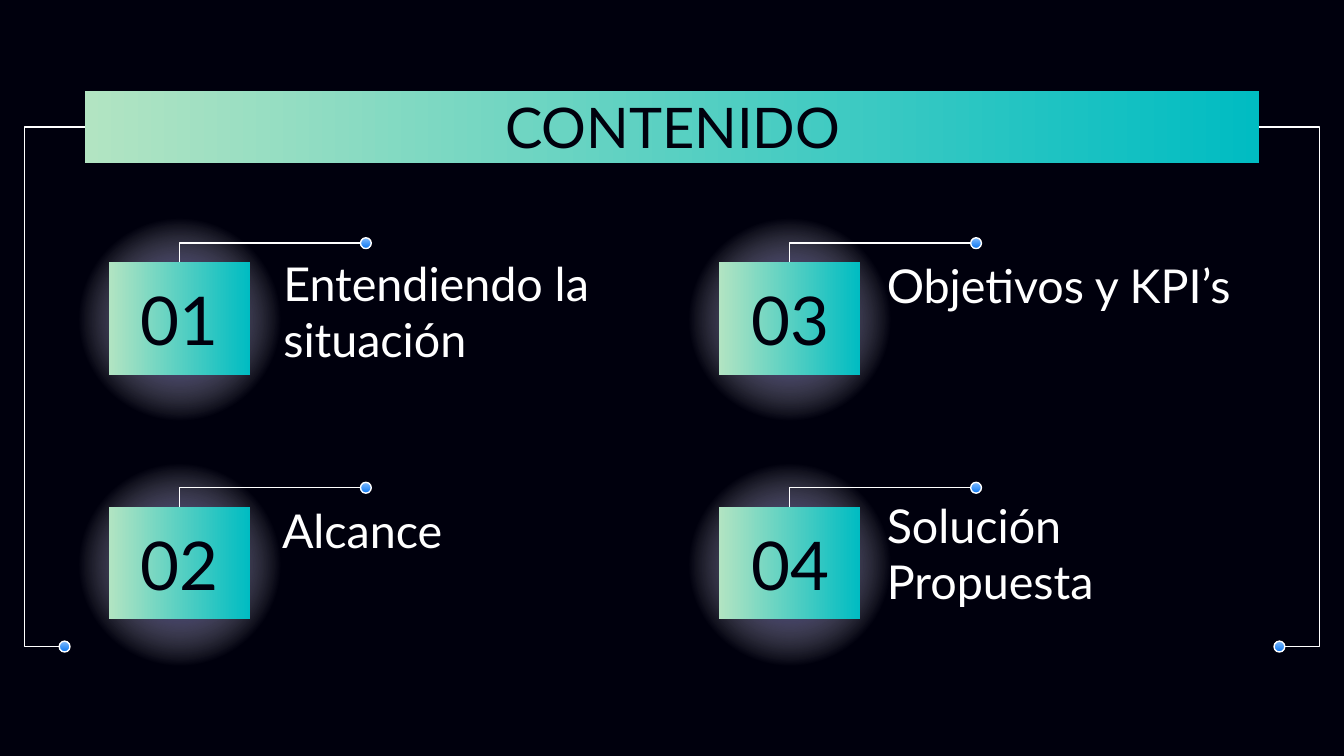
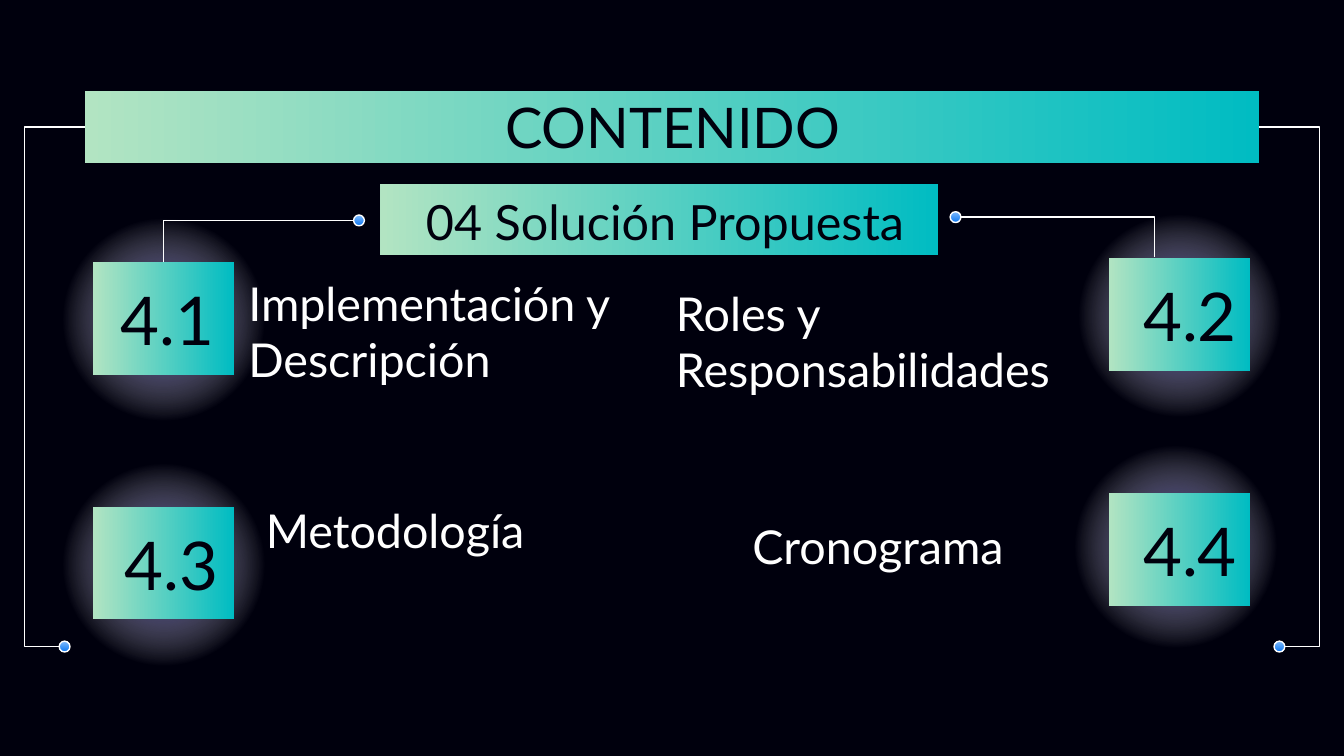
from dataclasses import dataclass

from pptx import Presentation
from pptx.dml.color import RGBColor
from pptx.enum.shapes import MSO_CONNECTOR as CONN, MSO_SHAPE as SHAPE
from pptx.enum.text import MSO_ANCHOR as ANCHOR, MSO_AUTO_SIZE as AUTO, PP_ALIGN as ALIGN
from pptx.oxml import parse_xml
from pptx.oxml.ns import nsdecls, qn
from pptx.util import Pt

COLORS = {
    "night": "00000D", "white": "FFFFFF", "teal": "00BCC2", "mint": "B2E4C2",
    "glow": "170F8D", "sky": "82BCFE", "blue": "0C77F1",
}
FONT = "Lato"
SLIDE_W, SLIDE_H = 720, 405
BAND = (45.4, 49, 629.2, 38.2)
TITLE = (56.9, 42.5, 607, 45.4)
SUB_BAND = (203.8, 98.6, 298.8, 38.2)
SUB_TITLE = (203.8, 95.8, 305.3, 45.4)
TILE_W, TILE_H = 75.6, 60.5
GLOW_W, GLOW_H = 127.4, 123.1
DOT = 5.8
RAIL_X, RAIL_DOT_X, RAIL_DOT_Y = 13, 31.7, 343.5


@dataclass
class Item:
    number: str
    text: str
    x: float
    y: float
    label: tuple
    label_h: float = 41.8
    number_w: float = 63.4
    glow: tuple = (-26, -30.6)


def rgb(name):
    return RGBColor.from_string(COLORS[name])


def pts(*values):
    return [Pt(v) for v in values]


def gradient_shape(slide, kind, box, first, last, angle):
    sp = slide.shapes.add_shape(kind, *pts(*box))
    sp.shadow.inherit = False
    sp.line.fill.background()
    sp.fill.gradient()
    sp.fill.gradient_angle = angle
    for stop, name in zip(sp.fill.gradient_stops, (first, last)):
        stop.color.rgb = rgb(name)
    return sp


def add_tile(slide, box):
    return gradient_shape(slide, SHAPE.RECTANGLE, box, "teal", "mint", 180)


def add_dot(slide, x, y):
    sp = gradient_shape(slide, SHAPE.OVAL, (x, y, DOT, DOT), "sky", "blue", 270)
    sp.line.color.rgb = rgb("white")
    sp.line.width = Pt(0.75)


def add_glow(slide, x, y):
    sp = gradient_shape(slide, SHAPE.OVAL, (x, y, GLOW_W, GLOW_H), "glow", "white", 0)
    clear = f'<a:srgbClr val="{COLORS["white"]}"><a:alpha val="0"/></a:srgbClr>'
    radial = parse_xml(
        f'<a:gradFill {nsdecls("a")} rotWithShape="1"><a:gsLst>'
        f'<a:gs pos="0"><a:srgbClr val="{COLORS["glow"]}"/></a:gs>'
        f'<a:gs pos="61000">{clear}</a:gs><a:gs pos="100000">{clear}</a:gs></a:gsLst>'
        '<a:path path="circle"><a:fillToRect l="50000" t="50000" r="50000" b="50000"/>'
        '</a:path></a:gradFill>'
    )
    props = sp._element.spPr
    props.replace(props.find(qn("a:gradFill")), radial)


def add_elbow(slide, start, end, preset, adjust=None):
    cn = slide.shapes.add_connector(CONN.ELBOW, *pts(*start, *end))
    cn.line.color.rgb = rgb("white")
    cn.line.width = Pt(0.75)
    props = cn._element.spPr
    props.append(parse_xml(f'<a:effectLst {nsdecls("a")}/>'))
    geom = props.find(qn("a:prstGeom"))
    geom.set("prst", preset)
    if adjust is not None:
        guides = geom.get_or_add_avLst()
        guides.append(parse_xml(
            f'<a:gd {nsdecls("a")} name="adj1" fmla="val {round(adjust * 100000)}"/>'))


def write(sp, text, size, color, align=ALIGN.LEFT, anchor=ANCHOR.MIDDLE):
    tf = sp.text_frame
    tf.text = text
    tf.word_wrap = True
    tf.auto_size = AUTO.NONE
    tf.vertical_anchor = anchor
    tf.margin_left = tf.margin_right = tf.margin_top = tf.margin_bottom = Pt(7.2)
    for p in tf.paragraphs:
        p.alignment = align
        for r in p.runs:
            r.font.name = FONT
            r.font.size = Pt(size)
            r.font.color.rgb = rgb(color)


def add_text(slide, box, *args, **kwargs):
    write(slide.shapes.add_textbox(*pts(*box)), *args, **kwargs)


def add_callout(slide, dot, start_dx, end):
    x, y = dot
    add_elbow(slide, (x + start_dx, y + DOT / 2), end, "bentConnector2")
    add_dot(slide, x, y)


def add_item(slide, item):
    x, y = item.x, item.y
    add_glow(slide, x + item.glow[0], y + item.glow[1])
    add_tile(slide, (x, y, TILE_W, TILE_H))
    dx, dy, width = item.label
    add_text(slide, (x + dx, y + dy, width, item.label_h), item.text, 25, "white")
    add_text(slide, (x + 6.4, y + 9.4, item.number_w, 41.8), item.number, 36, "night",
             ALIGN.CENTER)


def add_rails(slide, band):
    left, top, width, height = band
    adjust = (RAIL_X - RAIL_DOT_X) / (left - RAIL_DOT_X)
    low, high = RAIL_DOT_Y + DOT / 2, top + height / 2
    add_dot(slide, RAIL_DOT_X, RAIL_DOT_Y)
    add_dot(slide, SLIDE_W - RAIL_DOT_X - DOT, RAIL_DOT_Y)
    for start, end in ((RAIL_DOT_X, left), (SLIDE_W - RAIL_DOT_X, left + width)):
        add_elbow(slide, (start, low), (end, high), "bentConnector3", adjust)


def add_contents(prs, items):
    slide = prs.slides.add_slide(prs.slide_layouts[5])
    for item in items:
        add_item(slide, item)
    add_tile(slide, BAND)
    add_rails(slide, BAND)
    title = slide.shapes.title
    title.left, title.top, title.width, title.height = pts(*TITLE)
    write(title, "CONTENIDO", 30, "night", ALIGN.CENTER, ANCHOR.TOP)
    slide.shapes._spTree.append(title._element)
    return slide


def build_overview(prs):
    left, right = 58.3, 385.2
    top, bottom = 140.4, 271.4
    items = [
        Item("01", "Entendiendo la situación", left, top, (86.4, 5, 193.7)),
        Item("02", "Alcance", left, bottom, (85.7, -8.6, 193.7)),
        Item("03", "Objetivos y KPI’s", right, top, (82.8, -8.6, 221.8)),
        Item("04", "Solución Propuesta", right, bottom, (82.8, 3.6, 193.7)),
    ]
    slide = add_contents(prs, items)
    for item in items:
        add_callout(slide, (item.x + 134.8, item.y - 13), 0,
                    (item.x + TILE_W / 2, item.y))


def build_solution(prs):
    left, right = 49.7, 594
    items = [
        Item("4.1", "Implementación y Descripción", left, 140.4, (76.3, 15.8, 218.9),
             number_w=67),
        Item("4.2", "Roles y \vResponsabilidades", right, 138.2, (-239, 10.1, 248.4),
             label_h=68.4, number_w=74.2),
        Item("4.3", "Metodología", left, 271.4, (85.7, -8.6, 193.7), number_w=72),
        Item("4.4", "Cronograma", right, 264.2, (-198, 7.2, 193.7), number_w=74.2,
             glow=(-28, -33)),
    ]
    slide = add_contents(prs, items)
    add_tile(slide, SUB_BAND)
    add_text(slide, SUB_TITLE, "04 Solución Propuesta", 26, "night", ALIGN.CENTER, ANCHOR.TOP)
    add_callout(slide, (189.4, 115.2), 3.6, (left + TILE_W / 2, 140.4))
    add_callout(slide, (509, 113.4), 5, (618.5, 137.5))


def main():
    prs = Presentation()
    prs.slide_width, prs.slide_height = pts(SLIDE_W, SLIDE_H)
    fill = prs.slide_master.background.fill
    fill.solid()
    fill.fore_color.rgb = rgb("night")
    build_overview(prs)
    build_solution(prs)
    prs.save("out.pptx")


if __name__ == "__main__":
    main()
